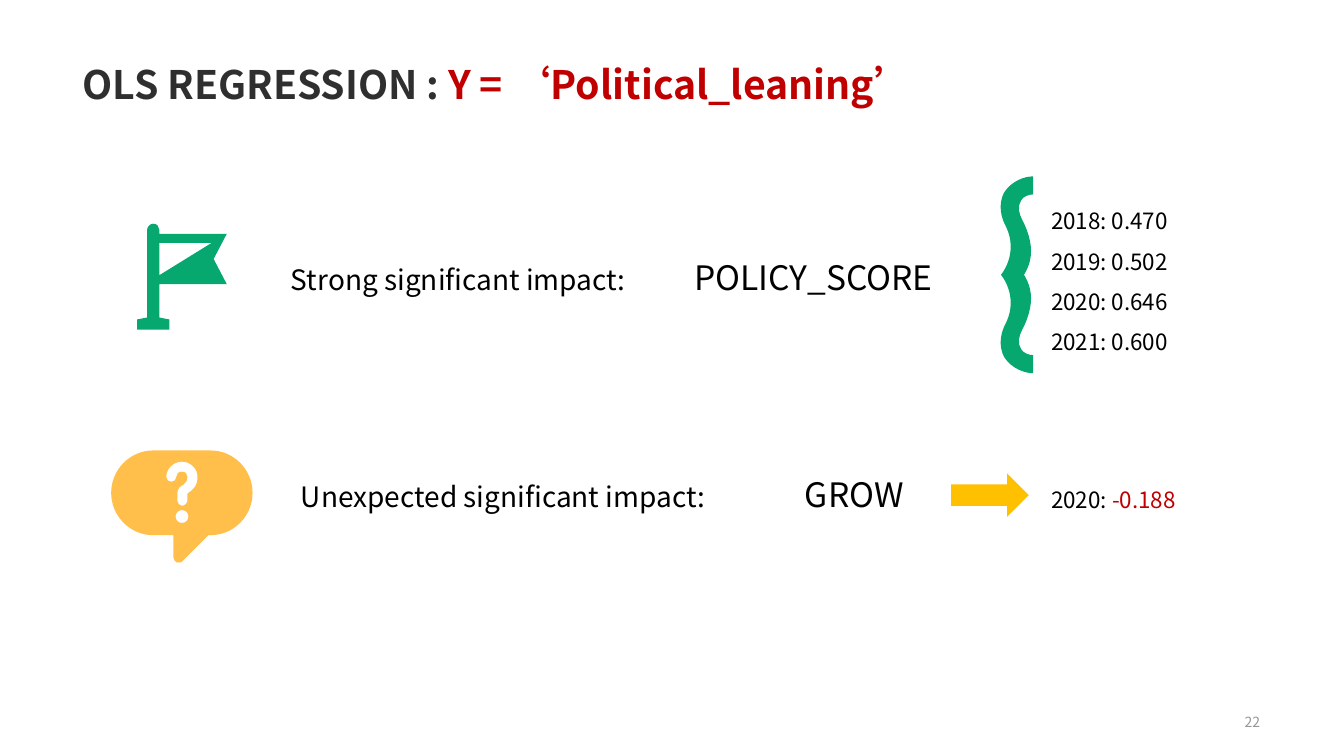
"""Build the OLS regression summary slide."""
from dataclasses import dataclass

from pptx import Presentation
from pptx.dml.color import RGBColor
from pptx.enum.shapes import MSO_SHAPE
from pptx.enum.text import MSO_ANCHOR, MSO_AUTO_SIZE, PP_ALIGN
from pptx.oxml.ns import qn
from pptx.oxml.xmlchemy import OxmlElement
from pptx.util import Pt

TOP, MIDDLE, BOTTOM = MSO_ANCHOR.TOP, MSO_ANCHOR.MIDDLE, MSO_ANCHOR.BOTTOM
LEFT, CENTER, RIGHT = PP_ALIGN.LEFT, PP_ALIGN.CENTER, PP_ALIGN.RIGHT
GROW, FIXED = MSO_AUTO_SIZE.SHAPE_TO_FIT_TEXT, MSO_AUTO_SIZE.NONE
RIGHT_ARROW = MSO_SHAPE.RIGHT_ARROW


@dataclass(frozen=True)
class Theme:
    """Font, colours and type sizes."""
    font: str = "Noto Sans CJK SC"
    heading: str = "2F2F2F"
    accent: str = "C00000"
    text: str = "000000"
    muted: str = "969696"
    green: str = "07A870"
    amber: str = "FFBF4A"
    arrow: str = "FFC000"
    title: int = 28
    variable: int = 24
    label: int = 20
    tab: int = 18
    value: int = 16
    number: int = 10


T = Theme()

TITLE = [[("OLS REGRESSION : ", T.title, T.heading),
          ("Y = ‘Political_leaning’", T.title, T.accent)]]
IMPACTS = [
    ("Strong significant impact: ", "POLICY_SCORE", 288, (162, 179.7, 550, 36)),
    ("Unexpected significant impact: ", "GROW", 360, (136.1, 334.8, 588.2, 36)),
]
SCORES = [("2018", "0.470"), ("2019", "0.502"), ("2020", "0.646"), ("2021", "0.600")]
GROW_VALUE = ("2020: ", "-0.188")
PAGE = "22"

FLAG = [
    [(162, 203), (152.6, 185), (162, 167), (113.8, 167), (113.8, 164.2),
     (113.8, 162, 112.3, 159.8, 109.4, 159.8),
     (107.3, 159.8, 105.1, 162, 105.1, 164.2),
     (105.1, 226.8), (97.9, 228.2), (97.9, 235.4), (121, 235.4),
     (121, 228.2), (113.8, 226.8), (113.8, 203)],
    [(113.8, 173.5), (151.2, 173.5), (113.8, 196.6)],
]
BUBBLE = [
    [(150.5, 321.8), (109.4, 321.8),
     (92.9, 321.8, 79.4, 335.5, 79.4, 352.1),
     (79.4, 368.6, 92.9, 382.3, 109.4, 382.3),
     (123.8, 382.3), (123.8, 398.2),
     (123.8, 399.6, 125.3, 401, 126, 401.8),
     (126.7, 401.8, 127.4, 401.8, 127.4, 401.8),
     (128.9, 401.8, 129.6, 401.8, 130.3, 401), (149, 382.3), (150.5, 382.3),
     (167, 382.3, 180.4, 368.6, 180.4, 352.1),
     (180.4, 335.5, 167, 321.8, 150.5, 321.8)],
    [(130, 373.6),
     (127.4, 373.6, 125.4, 371.6, 125.4, 369),
     (125.4, 366.4, 127.4, 364.4, 130, 364.4),
     (132.6, 364.4, 134.6, 366.4, 134.6, 369),
     (134.6, 371.6, 132.6, 373.6, 130, 373.6)],
    [(134.6, 352.1),
     (133.9, 352.1, 133.9, 352.8, 133.9, 352.8), (133.9, 357.8),
     (133.9, 359.3, 131.8, 361.4, 130, 361.4),
     (128.2, 361.4, 126.7, 359.3, 126.7, 357.8), (126.7, 352.1),
     (126.7, 349.2, 128.9, 347, 131, 346.3),
     (132.5, 344.9, 133.9, 343.4, 133.9, 340.6),
     (133.9, 338.4, 132.5, 337, 130, 337),
     (127.4, 337, 126, 338.4, 126, 340.6),
     (126, 342.7, 124.6, 344.2, 122.4, 344.2),
     (120.2, 344.2, 118.8, 342.7, 118.8, 340.6),
     (118.8, 334.8, 123.8, 329.8, 130, 329.8),
     (136.1, 329.8, 141.1, 334.8, 141.1, 340.6),
     (141.1, 347.8, 137.5, 349.9, 134.6, 352.1)],
]
BRACE_MIDDLE = 196.3
BRACE_HALF = [
    (731.5, 0),
    (733, -2.7, 735.1, -6.5, 735.8, -10.6),
    (737.6, -18.5, 735.8, -28.6, 730.1, -39.4),
    (727.9, -43.7, 726.5, -48.8, 729.4, -53.1),
    (730.8, -56, 735.1, -57.4, 738, -57.4), (738, -70.3),
    (731.5, -70.3, 722.9, -66.8, 717.8, -59.6),
    (712, -50.2, 715.7, -39.4, 718.6, -34.4),
    (727.9, -15, 715, 0, 715, 0),
]


def unpack(contour):
    """Split a contour into its points and the point count of each segment."""
    pts = [seg[i:i + 2] for seg in contour for i in range(0, len(seg), 2)]
    return pts, [len(seg) // 2 for seg in contour[1:]]


def paint(sp, color):
    """Give a shape a plain fill."""
    sp.shadow.inherit = False
    sp.fill.solid()
    sp.fill.fore_color.rgb = RGBColor.from_string(color)
    sp.line.fill.background()


def add_outline(s, contours, color):
    """Draw closed contours as one filled freeform with true curves."""
    fb, counts = None, []
    for points, segments in contours:
        pts = [(Pt(x), Pt(y)) for x, y in points]
        if fb is None:
            fb = s.shapes.build_freeform(*pts[0], scale=1.0)
        else:
            fb.move_to(*pts[0])
        fb.add_line_segments(pts[1:], close=False)
        fb.add_line_segments([], close=True)
        counts += segments
    sp = fb.convert_to_shape()
    lines = iter(list(sp._element.iter(qn("a:lnTo"))))
    for count in counts:
        group = [next(lines) for _ in range(count)]
        if count == 3:
            curve = OxmlElement("a:cubicBezTo")
            group[0].addprevious(curve)
            for line in group:
                curve.append(line[0])
                line.getparent().remove(line)
    paint(sp, color)


def write(sp, paragraphs, align=LEFT, anchor=MIDDLE, spacing=1.0, size=GROW,
          bold=False, stop=None):
    """Fill a text frame run by run."""
    tf = sp.text_frame
    tf.word_wrap, tf.auto_size, tf.vertical_anchor = True, size, anchor
    for i, runs in enumerate(paragraphs):
        p = tf.add_paragraph() if i else tf.paragraphs[0]
        p.alignment, p.line_spacing = align, spacing
        if stop:
            tabs = OxmlElement("a:tabLst")
            tab = OxmlElement("a:tab")
            tab.set("pos", str(Pt(stop)))
            tab.set("algn", "l")
            tabs.append(tab)
            p._p.get_or_add_pPr().append(tabs)
        for text, points, color in runs:
            r = p.add_run()
            r.text = text
            r.font.name, r.font.size, r.font.bold = T.font, Pt(points), bold
            r.font.color.rgb = RGBColor.from_string(color)


def add_text(s, box, paragraphs, **style):
    """Add a text box."""
    write(s.shapes.add_textbox(*map(Pt, box)), paragraphs, **style)


def main():
    """Assemble and save the slide."""
    prs = Presentation()
    prs.slide_width, prs.slide_height = Pt(960), Pt(540)
    s = prs.slides.add_slide(prs.slide_layouts[5])

    title = s.shapes.title
    title.left, title.top, title.width, title.height = map(Pt, (51.8, 0, 855.4, 80.6))
    write(title, TITLE, anchor=BOTTOM, spacing=0.9, size=FIXED, bold=True)
    add_text(s, (697.7, 506.9, 209.5, 17.3), [[(PAGE, T.number, T.muted)]],
             align=RIGHT, size=FIXED)

    for label, variable, stop, box in IMPACTS:
        add_text(s, box, [[(label, T.label, T.text), ("\t", T.tab, T.text),
                           (variable, T.variable, T.text)]], align=CENTER, stop=stop)

    add_outline(s, map(unpack, FLAG), T.green)
    add_outline(s, map(unpack, BUBBLE), T.amber)
    half, counts = unpack(BRACE_HALF)
    brace = half + [(x, -y) for x, y in half[-2::-1]]
    add_outline(s, [([(x, BRACE_MIDDLE + y) for x, y in brace],
                     counts + counts[::-1])], T.green)

    add_text(s, (743.8, 136.1, 200, 120.2),
             [[(f"{year}: {score}", T.value, T.text)] for year, score in SCORES],
             spacing=1.5)
    arrow = s.shapes.add_shape(RIGHT_ARROW, *map(Pt, (679.5, 338.2, 55.4, 31)))
    paint(arrow, T.arrow)
    year, value = GROW_VALUE
    add_text(s, (743.8, 334.1, 132.5, 33.1),
             [[(year, T.value, T.text), (value, T.value, T.accent)]],
             anchor=TOP, spacing=1.5)
    prs.save("out.pptx")


if __name__ == "__main__":
    main()
